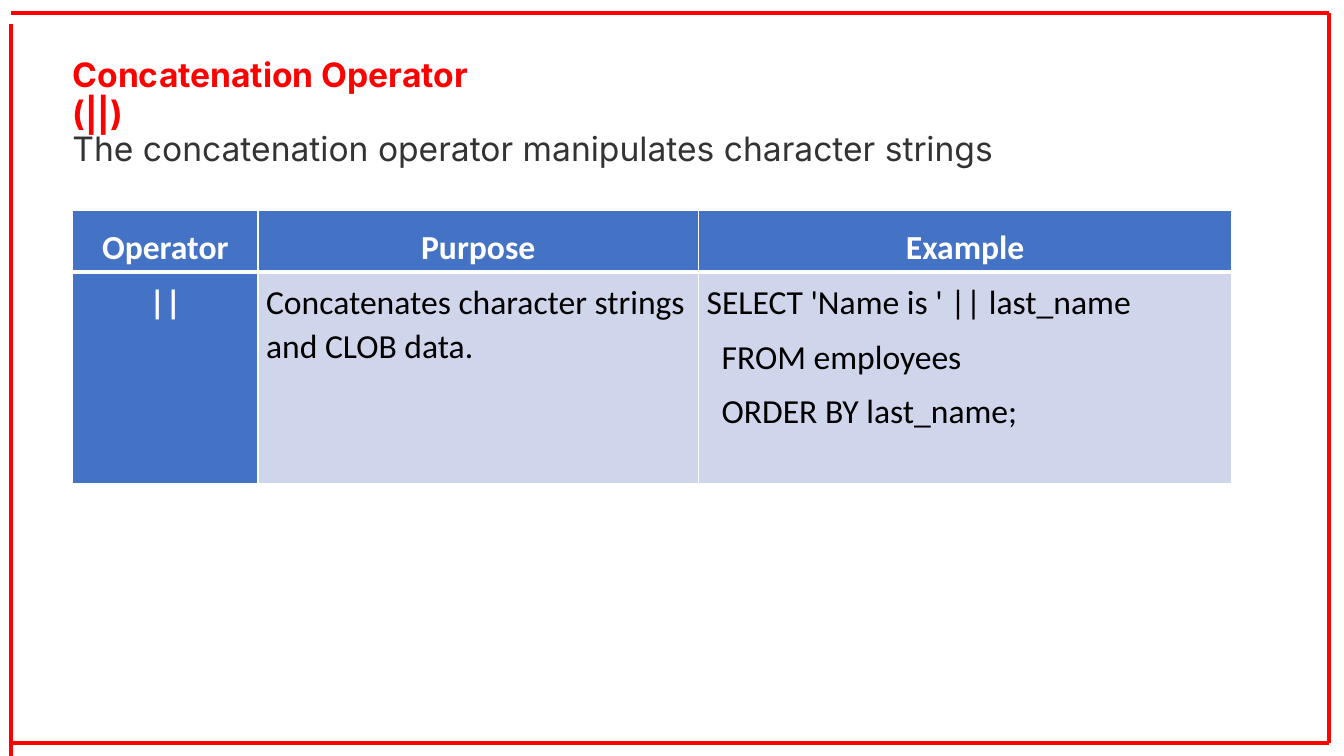
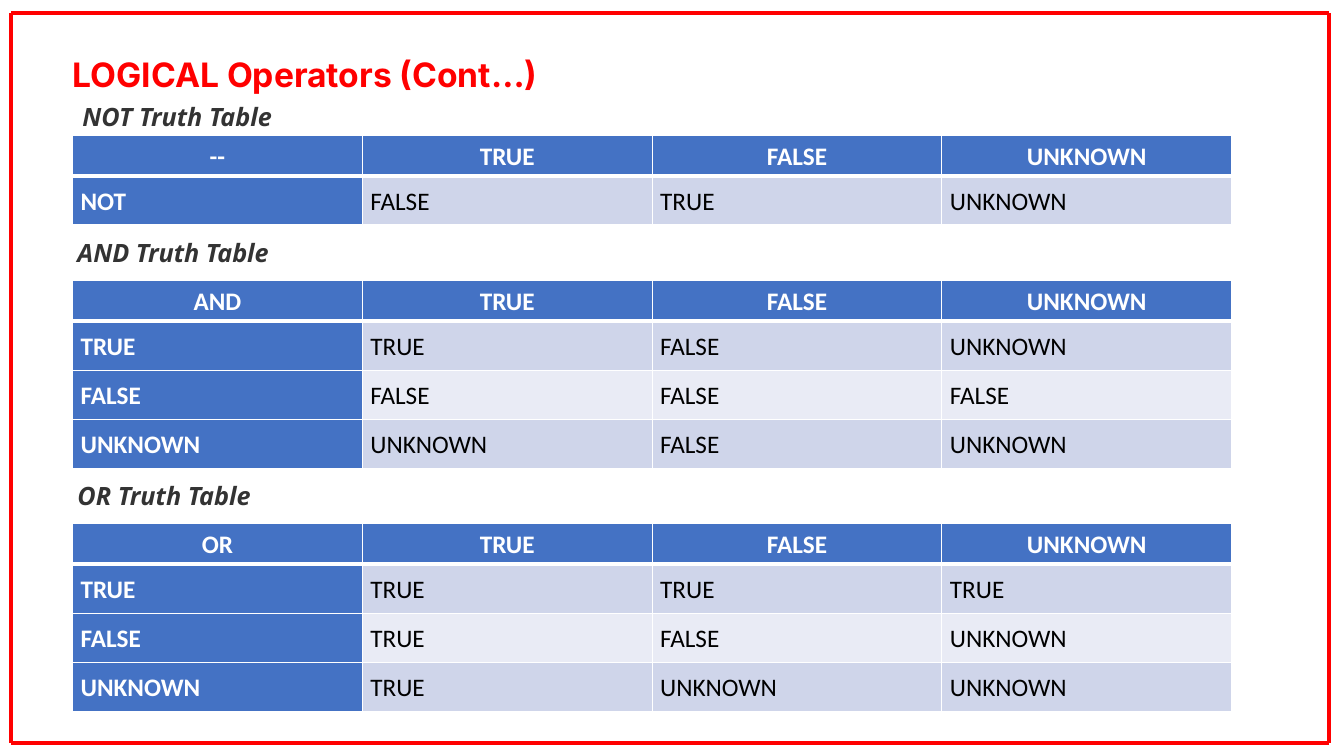
import lxml.etree
import pptx
import pptx.dml.color
import pptx.enum.shapes
import pptx.enum.text
import pptx.oxml.ns
import pptx.util

Pt = pptx.util.Pt
ALIGN = pptx.enum.text.PP_ALIGN
ANCHOR = pptx.enum.text.MSO_ANCHOR

# Every length is on a grid of 100 columns by 100 rows over the slide.
WIDTH, HEIGHT = pptx.util.Inches(13.33), pptx.util.Inches(7.5)
TITLE_LEFT, TITLE_TOP = 4.65, 6.4
TABLE_LEFT, TABLE_WIDTH = 5.4, 86.25
LINE_ROWS = 6.67
FRAME_LEFT, FRAME_TOP, FRAME_RIGHT, FRAME_BOTTOM = 0.83, 1.7, 98.87, 98.3

RED, GREY, BLACK, WHITE = "FF0000", "333333", "000000", "FFFFFF"
BLUE, BANDS = "4472C4", ("CFD5EA", "E9EBF5")
HEADING_FONT, CAPTION_FONT, TABLE_FONT = "Inter", "Noto Sans", "Calibri"
TRUTH_VALUES = ["TRUE", "FALSE", "UNKNOWN"]


def col(columns):
    return round(WIDTH * columns / 100)


def row(rows):
    return round(HEIGHT * rows / 100)


def rgb(color):
    return pptx.dml.color.RGBColor.from_string(color)


def set_font(paragraph, name, size, color, bold=False, italic=False):
    font = paragraph.font
    font.name, font.size = name, Pt(size)
    font.bold, font.italic = bold, italic
    font.color.rgb = rgb(color)


def add_frame(slide, left_top=FRAME_TOP, left_bottom=FRAME_BOTTOM):
    """Draw the red border; its left side may start and end elsewhere."""
    sides = [
        (FRAME_LEFT, left_top, FRAME_LEFT, left_bottom),
        (FRAME_RIGHT, FRAME_TOP, FRAME_RIGHT, FRAME_BOTTOM),
        (FRAME_LEFT, FRAME_TOP, FRAME_RIGHT, FRAME_TOP),
        (FRAME_LEFT, FRAME_BOTTOM, FRAME_RIGHT, FRAME_BOTTOM),
    ]
    for x1, y1, x2, y2 in sides:
        side = slide.shapes.add_connector(
            pptx.enum.shapes.MSO_CONNECTOR.STRAIGHT, col(x1), row(y1), col(x2), row(y2))
        side.line.color.rgb = rgb(RED)
        side.line.width = Pt(3)
        lxml.etree.SubElement(side._element.spPr, pptx.oxml.ns.qn("a:effectLst"))


def add_titled_slide(deck, title, title_width):
    slide = deck.slides.add_slide(deck.slide_layouts[5])
    heading = slide.shapes.title
    heading.left, heading.top = col(TITLE_LEFT), row(TITLE_TOP)
    heading.width, heading.height = col(title_width), row(LINE_ROWS)
    frame = heading.text_frame
    frame.text = title
    frame.word_wrap = True
    frame.auto_size = pptx.enum.text.MSO_AUTO_SIZE.NONE
    frame.vertical_anchor = ANCHOR.TOP
    paragraph = frame.paragraphs[0]
    paragraph.alignment = ALIGN.LEFT
    set_font(paragraph, HEADING_FONT, 24, RED, bold=True)
    return slide


def add_line_of_text(slide, text, left, top, width, height, anchor, **font):
    box = slide.shapes.add_textbox(col(left), row(top), col(width), row(height))
    box.text_frame.word_wrap = True
    box.text_frame.vertical_anchor = anchor
    box.text_frame.text = text
    set_font(box.text_frame.paragraphs[0], **font)


def set_borders(cell, top, bottom):
    properties = cell._tc.get_or_add_tcPr()
    for tag, width in (("lnL", 1), ("lnR", 1), ("lnT", top), ("lnB", bottom)):
        border = lxml.etree.SubElement(
            properties, pptx.oxml.ns.qn("a:" + tag), w=str(Pt(width)))
        fill = lxml.etree.SubElement(border, pptx.oxml.ns.qn("a:solidFill"))
        lxml.etree.SubElement(fill, pptx.oxml.ns.qn("a:srgbClr"), val=WHITE)


def fill_cell(cell, text, r, c, size, key_align):
    is_header, is_key = r == 0, c == 0
    set_borders(cell, top=3 if r == 1 else 1, bottom=3 if is_header else 1)
    cell.fill.solid()
    cell.fill.fore_color.rgb = rgb(BLUE if is_header or is_key else BANDS[(r - 1) % 2])
    inset = pptx.util.Inches(0.04 if is_header else 0.08)
    cell.margin_left = cell.margin_right = cell.margin_top = cell.margin_bottom = inset
    cell.vertical_anchor = ANCHOR.BOTTOM if is_header else ANCHOR.TOP
    cell.text_frame.text = text
    for paragraph in cell.text_frame.paragraphs:
        paragraph.line_spacing = 1.07
        paragraph.alignment = ALIGN.CENTER if is_header else key_align if is_key else ALIGN.LEFT
        set_font(paragraph, TABLE_FONT, size, WHITE if is_header or is_key else BLACK,
                 bold=is_header or is_key)


def add_grid(slide, rows, top, shares, header_height, body_height, size, key_align=ALIGN.LEFT):
    """Add a table with a header row and a key column; shares are of its width."""
    heights = [header_height] + [body_height] * (len(rows) - 1)
    table = slide.shapes.add_table(
        len(rows), len(shares), col(TABLE_LEFT), row(top),
        col(TABLE_WIDTH), row(sum(heights))).table
    for column, share in zip(table.columns, shares):
        column.width = col(TABLE_WIDTH * share)
    for r, (height, texts) in enumerate(zip(heights, rows)):
        table.rows[r].height = row(height)
        for c, text in enumerate(texts):
            fill_cell(table.cell(r, c), text, r, c, size, key_align)
    return table


def add_truth_tables(slide, top, truth_tables):
    """Stack captioned truth tables downwards from top."""
    header_height, body_height, gap = 5.42, 6.48, 0.9
    for caption, caption_left, caption_band, operator, results in truth_tables:
        add_line_of_text(slide, caption, caption_left, top, 18, 5.33, ANCHOR.MIDDLE,
                         name=CAPTION_FONT, size=18, color=GREY, bold=True, italic=True)
        top += caption_band
        add_grid(slide, [[operator] + TRUTH_VALUES] + results, top, [0.25] * 4,
                 header_height, body_height, 18)
        top += header_height + body_height * len(results) + gap


def build_concatenation(deck):
    slide = add_titled_slide(deck, "Concatenation Operator (||)", 34.2)
    add_frame(slide, left_top=3.2, left_bottom=100)
    add_line_of_text(slide, "The concatenation operator manipulates character strings",
                     TITLE_LEFT, 16.27, 89, LINE_ROWS, ANCHOR.TOP,
                     name=HEADING_FONT, size=24, color=GREY)
    query = "SELECT 'Name is ' || last_name\nFROM employees\nORDER BY last_name;"
    table = add_grid(
        slide,
        [["Operator", "Purpose", "Example"],
         ["||", "Concatenates character strings and CLOB data.", query]],
        27.87, [0.16, 0.38, 0.46], 8.13, 28, 24, ALIGN.CENTER)
    for number, clause in enumerate(table.cell(1, 2).text_frame.paragraphs):
        clause.space_after = Pt(7.5)
        if number:
            clause._p.get_or_add_pPr().set("marL", str(pptx.util.Inches(0.15)))


def build_logical(deck):
    slide = add_titled_slide(deck, "LOGICAL Operators (Cont…)", 38)
    add_frame(slide)
    add_truth_tables(slide, 12.8, [
        ("NOT Truth Table", 5.4, 5.07, "--", [["NOT", "FALSE", "TRUE", "UNKNOWN"]]),
        ("AND Truth Table", 5.03, 6.4, "AND", [
            ["TRUE", "TRUE", "FALSE", "UNKNOWN"],
            ["FALSE", "FALSE", "FALSE", "FALSE"],
            ["UNKNOWN", "UNKNOWN", "FALSE", "UNKNOWN"]]),
        ("OR Truth Table", 5.03, 6.4, "OR", [
            ["TRUE", "TRUE", "TRUE", "TRUE"],
            ["FALSE", "TRUE", "FALSE", "UNKNOWN"],
            ["UNKNOWN", "TRUE", "UNKNOWN", "UNKNOWN"]]),
    ])


def main():
    deck = pptx.Presentation()
    deck.slide_width, deck.slide_height = WIDTH, HEIGHT
    build_concatenation(deck)
    build_logical(deck)
    deck.save("out.pptx")


if __name__ == "__main__":
    main()
